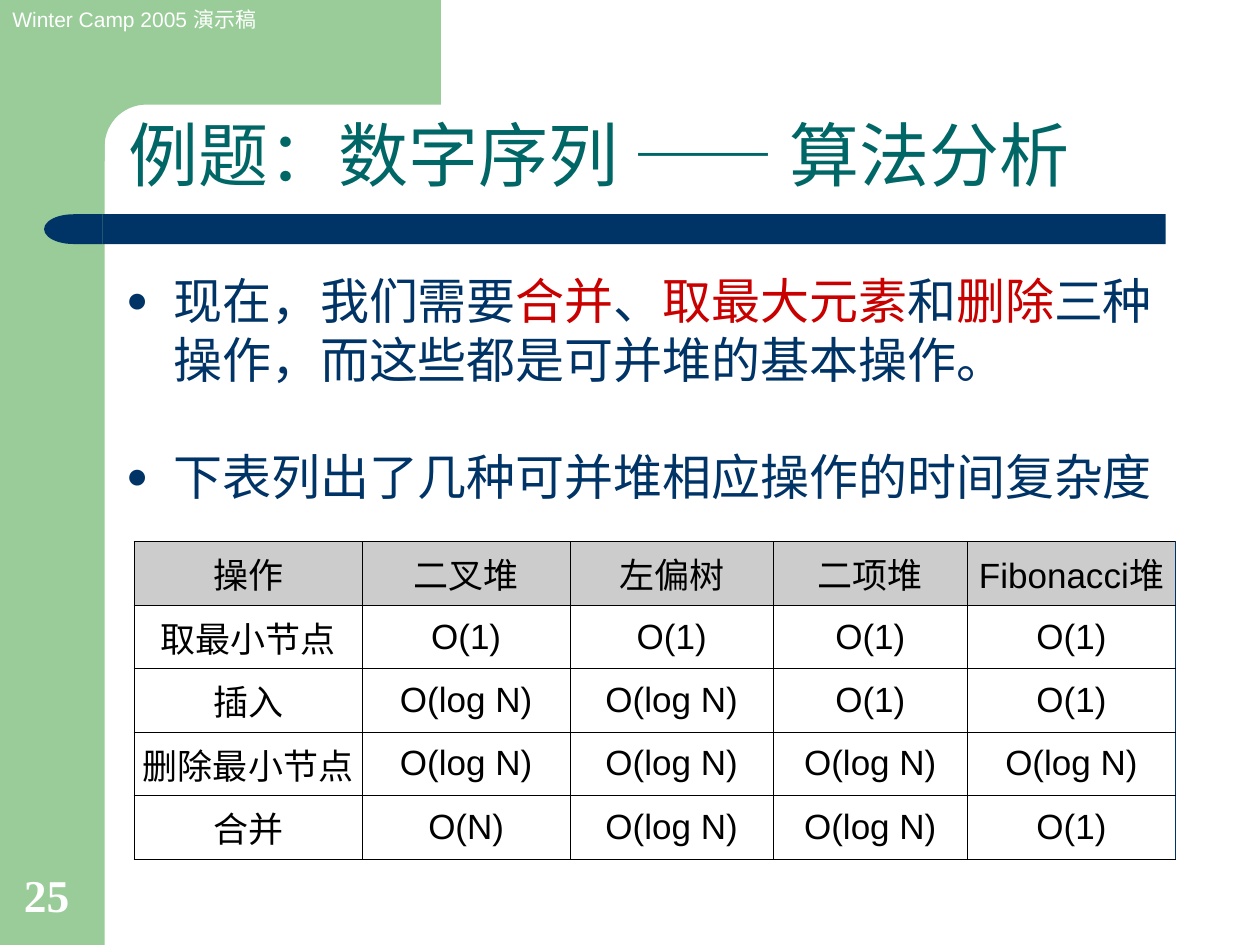
import math
from lxml import etree
from pptx import Presentation
from pptx import util as u
from pptx.dml.color import RGBColor
from pptx.enum import shapes, text
from pptx.oxml import ns

GREEN = RGBColor(0x99, 0xCC, 0x99)
NAVY = RGBColor(0x00, 0x33, 0x66)
TEAL = RGBColor(0x00, 0x66, 0x66)
RED = RGBColor(0xC8, 0x00, 0x00)
GREY = RGBColor(0xCC, 0xCC, 0xCC)
BLACK = RGBColor(0x00, 0x00, 0x00)
WHITE = RGBColor(0xFF, 0xFF, 0xFF)

BULLETS = [
    [("现在，我们需要", NAVY), ("合并", RED), ("、", NAVY), ("取最大元素", RED),
     ("和", NAVY), ("删除", RED), ("三种操作，而这些都是可并堆的基本操作。", NAVY)],
    [("下表列出了几种可并堆相应操作的时间复杂度", NAVY)],
]
COMPLEXITY = [
    ["操作", "二叉堆", "左偏树", "二项堆", "Fibonacci堆"],
    ["取最小节点", "O(1)", "O(1)", "O(1)", "O(1)"],
    ["插入", "O(log N)", "O(log N)", "O(1)", "O(1)"],
    ["删除最小节点", "O(log N)", "O(log N)", "O(log N)", "O(log N)"],
    ["合并", "O(N)", "O(log N)", "O(log N)", "O(1)"],
]
COLUMN_SHARES = [1.81, 1.65, 1.61, 1.54, 1.65]


def set_all(target, values):
    for key, value in values.items():
        setattr(target, key, value)


def add_run(paragraph, words, size, color, font="Arial", bold=False):
    run = paragraph.add_run()
    run.text = words
    set_all(run.font, {"name": font, "size": u.Pt(size), "bold": bold})
    run.font.color.rgb = color


def paint(shape, color):
    shape.shadow.inherit = False
    shape.fill.solid()
    shape.fill.fore_color.rgb = color
    shape.line.fill.background()


def place(placeholder, box):
    """Move a placeholder to the box and in front of the decoration."""
    set_all(placeholder, dict(zip(("left", "top", "width", "height"), box)))
    placeholder.element.getparent().append(placeholder.element)


def add_corner(slide, left, top, width, height):
    """Green side band, and a top block with a rounded inner corner."""
    band = slide.shapes.add_shape(
        shapes.MSO_SHAPE.RECTANGLE, left, top, u.Cm(2.11), height)
    paint(band, GREEN)

    block_left, inner_left = left + u.Cm(1.27), left + u.Cm(2.11)
    inner_top, radius = top + u.Cm(2.11), u.Cm(0.84)
    arc = []
    for degrees in range(0, 91, 6):
        angle = math.radians(degrees)
        arc.append((inner_left + radius * (1 - math.sin(angle)),
                    inner_top + radius * (1 - math.cos(angle))))
    block_bottom = top + u.Cm(3.25)
    outline = slide.shapes.build_freeform(block_left, top, scale=1.0)
    outline.add_line_segments(
        [(left + width, top), (left + width, inner_top), *arc,
         (inner_left, block_bottom), (block_left, block_bottom)])
    paint(outline.convert_to_shape(), GREEN)


def add_title_bar(slide, left, top, width, height):
    cap = u.Cm(1.18)
    group = slide.shapes.add_group_shape()
    bar = group.shapes.add_shape(
        shapes.MSO_SHAPE.ROUNDED_RECTANGLE, left + cap, top, width - cap, height)
    bar.adjustments[0] = 0
    rounded_end = group.shapes.add_shape(
        shapes.MSO_SHAPE.FLOWCHART_DELAY, left, top, cap, height)
    rounded_end.element.spPr.find(ns.qn("a:xfrm")).set("flipH", "1")
    for part in (bar, rounded_end):
        paint(part, NAVY)


def add_label(slide, box, words, anchor, wrap, **style):
    frame = slide.shapes.add_textbox(*box).text_frame
    set_all(frame, {"word_wrap": wrap, "vertical_anchor": anchor})
    add_run(frame.paragraphs[0], words, color=WHITE, **style)


def fill_title(slide, box):
    title = slide.shapes.title
    place(title, box)
    set_all(title.text_frame, {"vertical_anchor": text.MSO_ANCHOR.BOTTOM,
                               "auto_size": text.MSO_AUTO_SIZE.NONE})
    heading = title.text_frame.paragraphs[0]
    set_all(heading, {"alignment": text.PP_ALIGN.LEFT, "line_spacing": 0.9})
    add_run(heading, "例题：数字序列 —— 算法分析", 40, TEAL)


def add_bullet(paragraph):
    properties = paragraph._p.get_or_add_pPr()
    set_all_xml = {"marL": u.Cm(0.95), "indent": -u.Cm(0.95)}
    for key, value in set_all_xml.items():
        properties.set(key, str(int(value)))
    color = etree.SubElement(properties, ns.qn("a:buClr"))
    etree.SubElement(color, ns.qn("a:srgbClr"), val=str(NAVY))
    etree.SubElement(properties, ns.qn("a:buSzPct"), val="75000")
    etree.SubElement(properties, ns.qn("a:buFont"), typeface="Arial")
    etree.SubElement(properties, ns.qn("a:buChar"), char="●")


def fill_bullets(slide, box):
    body = slide.placeholders[1]
    place(body, box)
    frame = body.text_frame
    frame.auto_size = text.MSO_AUTO_SIZE.NONE
    for index, pieces in enumerate(BULLETS):
        item = frame.add_paragraph() if index else frame.paragraphs[0]
        add_bullet(item)
        item.space_before = u.Pt(33 * index)
        for words, color in pieces:
            add_run(item, words, 28, color)


def add_border(cell, side, color, points):
    edge = etree.SubElement(cell._tc.get_or_add_tcPr(), ns.qn(f"a:ln{side}"),
                            w=str(int(u.Pt(points))))
    fill = etree.SubElement(edge, ns.qn("a:solidFill"))
    etree.SubElement(fill, ns.qn("a:srgbClr"), val=str(color))


def add_complexity_table(slide, left, top, width, height):
    rows, columns = len(COMPLEXITY), len(COLUMN_SHARES)
    table = slide.shapes.add_table(rows, columns, left, top, width, height).table
    set_all(table, {"first_row": False, "horz_banding": False})
    for column, share in zip(table.columns, COLUMN_SHARES):
        column.width = int(width * share / sum(COLUMN_SHARES))
    for r, entries in enumerate(COMPLEXITY):
        for c, entry in enumerate(entries):
            cell = table.cell(r, c)
            set_all(cell, {"margin_left": u.Cm(0.15), "margin_right": u.Cm(0.15),
                           "vertical_anchor": text.MSO_ANCHOR.MIDDLE})
            for side in "LRTB":
                outer = side == "R" and c == columns - 1
                add_border(cell, side, *((NAVY, 0.75) if outer else (BLACK, 0.45)))
            if r == 0:
                cell.fill.solid()
                cell.fill.fore_color.rgb = GREY
            else:
                cell.fill.background()
            line = cell.text_frame.paragraphs[0]
            line.alignment = text.PP_ALIGN.CENTER
            add_run(line, entry, 20, BLACK)


def main():
    deck = Presentation()
    deck.slide_width, deck.slide_height = u.Cm(25.4), u.Cm(19.05)
    slide = deck.slides.add_slide(deck.slide_layouts[1])
    add_corner(slide, 0, 0, u.Cm(8.89), deck.slide_height)
    add_title_bar(slide, u.Cm(0.89), u.Cm(4.32), u.Cm(22.61), u.Cm(0.6))
    add_label(slide, (0, 0, u.Cm(5.79), u.Cm(0.76)), "Winter Camp 2005 演示稿",
              text.MSO_ANCHOR.TOP, False, size=12)
    fill_title(slide, (u.Cm(2.34), u.Cm(2.36), u.Cm(21.13), u.Cm(1.73)))
    fill_bullets(slide, (u.Cm(2.29), u.Cm(5.33), u.Cm(21.62), u.Cm(4.98)))
    add_complexity_table(slide, u.Cm(2.7), u.Cm(10.92), u.Cm(21), u.Cm(5.75))
    add_label(slide, (u.Cm(0.23), u.Cm(17.35), u.Cm(1.63), u.Cm(1.35)), "25",
              text.MSO_ANCHOR.BOTTOM, True, size=26, font="Times New Roman", bold=True)
    deck.save("out.pptx")


if __name__ == "__main__":
    main()
